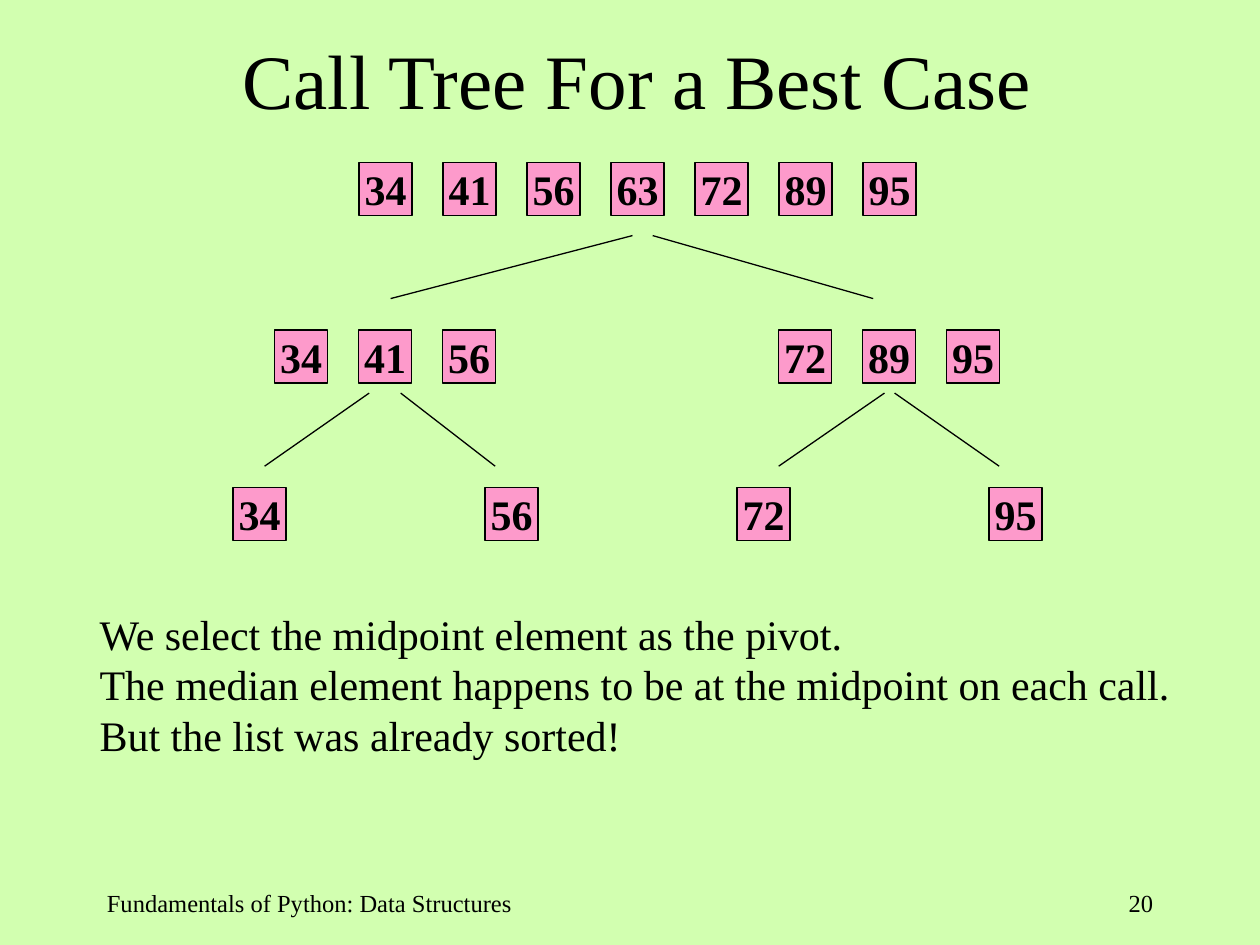
from dataclasses import dataclass

from lxml import etree
from pptx import Presentation
from pptx.dml.color import RGBColor
from pptx.enum.shapes import MSO_CONNECTOR, MSO_SHAPE
from pptx.enum.text import MSO_ANCHOR, PP_ALIGN
from pptx.oxml.ns import qn
from pptx.util import Inches, Pt

RECTANGLE = MSO_SHAPE.RECTANGLE
STRAIGHT = MSO_CONNECTOR.STRAIGHT
LEFT, CENTER, RIGHT = PP_ALIGN.LEFT, PP_ALIGN.CENTER, PP_ALIGN.RIGHT
TOP, MIDDLE = MSO_ANCHOR.TOP, MSO_ANCHOR.MIDDLE

FONT = "Times New Roman"
BLACK, PINK, GREEN = "000000", "FD9ACB", "D2FFB0"
CELL_SIZE = 0.42
CELL_PITCH = 2 / 3
LINE_WIDTH = 0.75


@dataclass(frozen=True)
class CallList:
    left: float
    top: float
    values: tuple[int, ...]


@dataclass(frozen=True)
class Branch:
    start: tuple[float, float]
    end: tuple[float, float]


@dataclass(frozen=True)
class Caption:
    text: str
    box: tuple[float, float, float, float]
    size: int
    alignment: PP_ALIGN = LEFT
    anchor: MSO_ANCHOR = TOP
    insets: tuple[float, float, float, float] = (0.1, 0.05, 0.1, 0.05)


CALL_LISTS = (
    CallList(2.85, 1.29, (34, 41, 56, 63, 72, 89, 95)),
    CallList(2.18, 2.62, (34, 41, 56)),
    CallList(6.18, 2.62, (72, 89, 95)),
    *(CallList(1.85 + 2 * index, 3.87, (value,))
      for index, value in enumerate((34, 56, 72, 95))),
)

BRANCHES = (
    Branch((5.02, 1.87), (3.1, 2.37)),
    Branch((5.18, 1.87), (6.93, 2.37)),
    Branch((2.93, 3.12), (2.1, 3.7)),
    Branch((3.18, 3.12), (3.93, 3.7)),
    Branch((7.02, 3.12), (6.18, 3.7)),
    Branch((7.1, 3.12), (7.93, 3.7)),
)

EXPLANATION = (
    "We select the midpoint element as the pivot.\n"
    "The median element happens to be at the midpoint on each call.\n"
    "But the list was already sorted!"
)

CAPTIONS = (
    Caption("Call Tree For a Best Case", (0.83, 0, 8.5, 1.25), 44,
            CENTER, MIDDLE, (0.1, 0.05, 0.14, 0.05)),
    Caption(EXPLANATION, (0.75, 4.83, 8.75, 1.2), 24, insets=(0.04, 0, 0.04, 0)),
    Caption("Fundamentals of Python: Data Structures", (0.75, 7, 3.83, 0.5), 14),
    Caption("20", (7.17, 7, 2.08, 0.5), 14, RIGHT),
)


def color(value: str) -> RGBColor:
    """Turn a hex string into a colour."""
    return RGBColor.from_string(value)


def write_text(shape, text: str, size: int, alignment: PP_ALIGN,
               anchor: MSO_ANCHOR, insets: tuple, bold: bool = False) -> None:
    """Fill a shape with evenly formatted text."""
    frame = shape.text_frame
    frame.text = text
    frame.vertical_anchor = anchor
    (frame.margin_left, frame.margin_top,
     frame.margin_right, frame.margin_bottom) = map(Inches, insets)
    for paragraph in frame.paragraphs:
        paragraph.alignment = alignment
        for run in paragraph.runs:
            run.font.name = FONT
            run.font.size = Pt(size)
            run.font.bold = bold
            run.font.color.rgb = color(BLACK)


def draw_call_list(slide, call_list: CallList) -> None:
    """Draw the values of one call as a row of cells."""
    for index, value in enumerate(call_list.values):
        left = call_list.left + index * CELL_PITCH
        cell = slide.shapes.add_shape(
            RECTANGLE, Inches(left), Inches(call_list.top),
            Inches(CELL_SIZE), Inches(CELL_SIZE))
        cell.shadow.inherit = False
        cell.fill.solid()
        cell.fill.fore_color.rgb = color(PINK)
        cell.line.color.rgb = color(BLACK)
        cell.line.width = Pt(LINE_WIDTH)
        write_text(cell, str(value), 24, CENTER, MIDDLE, (0, 0, 0, 0), bold=True)
        cell.text_frame.word_wrap = False


def draw_branch(slide, branch: Branch) -> None:
    """Draw the line from a call to one of its recursive calls."""
    connector = slide.shapes.add_connector(
        STRAIGHT, *map(Inches, branch.start + branch.end))
    connector.line.color.rgb = color(BLACK)
    connector.line.width = Pt(LINE_WIDTH)
    etree.SubElement(connector._element.spPr, qn("a:effectLst"))


def draw_caption(slide, caption: Caption) -> None:
    """Draw a free text box."""
    shape = slide.shapes.add_textbox(*map(Inches, caption.box))
    shape.text_frame.word_wrap = True
    write_text(shape, caption.text, caption.size, caption.alignment,
               caption.anchor, caption.insets)


def main() -> None:
    """Build the call tree slide and save it."""
    presentation = Presentation()
    presentation.slide_width = Inches(10)
    presentation.slide_height = Inches(7.5)
    slide = presentation.slides.add_slide(presentation.slide_layouts[6])
    slide.background.fill.solid()
    slide.background.fill.fore_color.rgb = color(GREEN)
    for call_list in CALL_LISTS:
        draw_call_list(slide, call_list)
    for branch in BRANCHES:
        draw_branch(slide, branch)
    for caption in CAPTIONS:
        draw_caption(slide, caption)
    presentation.save("out.pptx")


if __name__ == "__main__":
    main()
